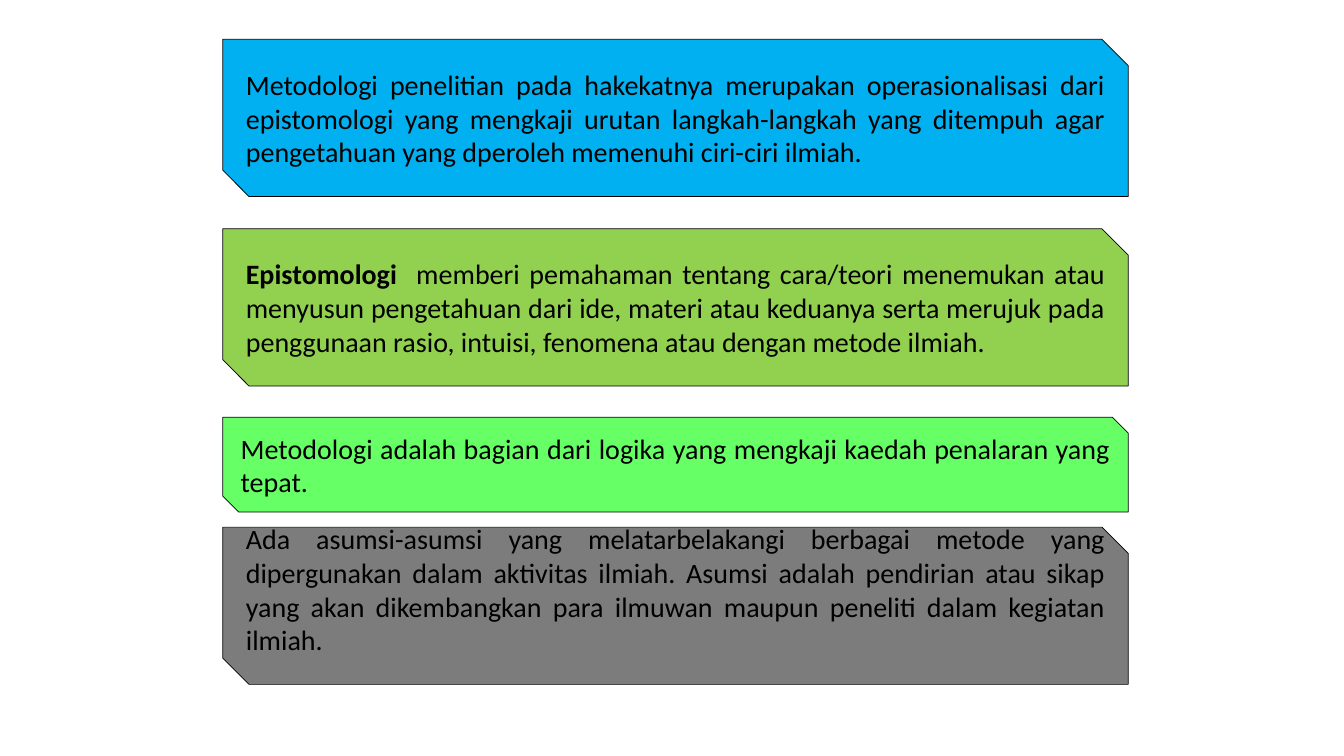
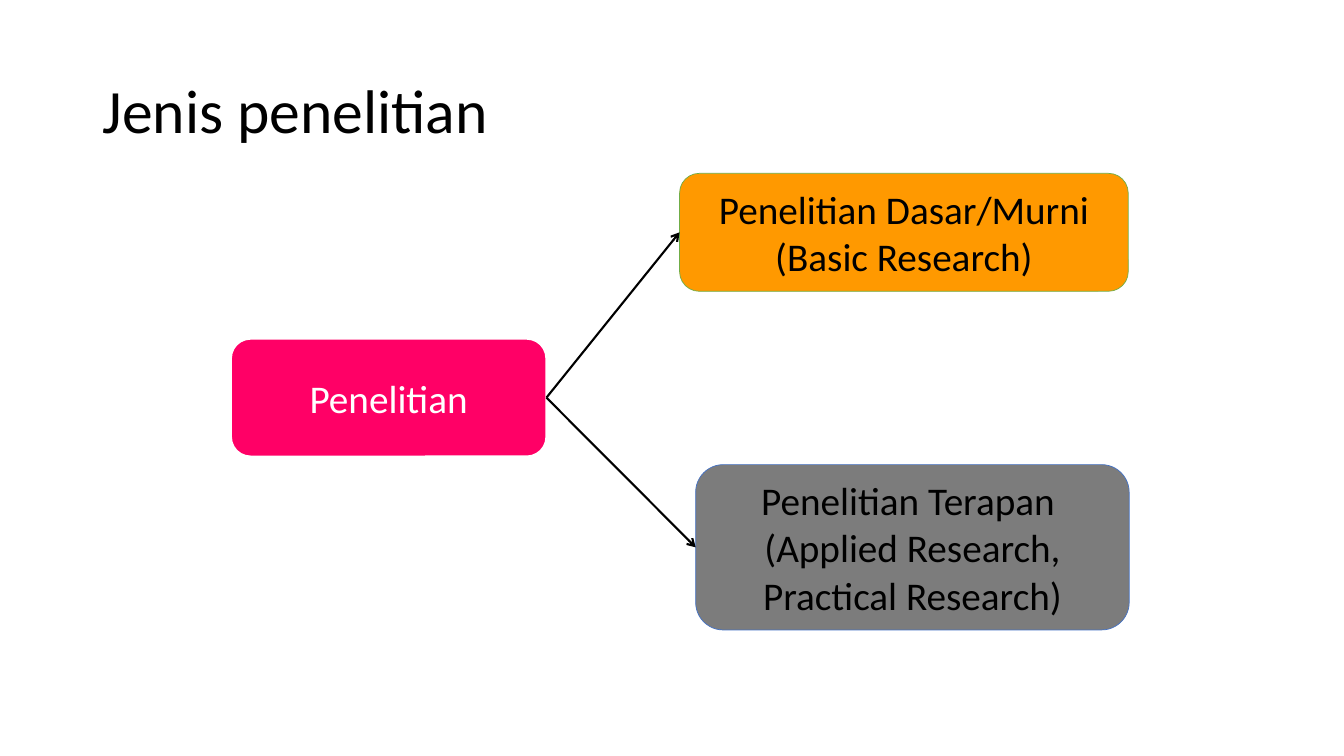
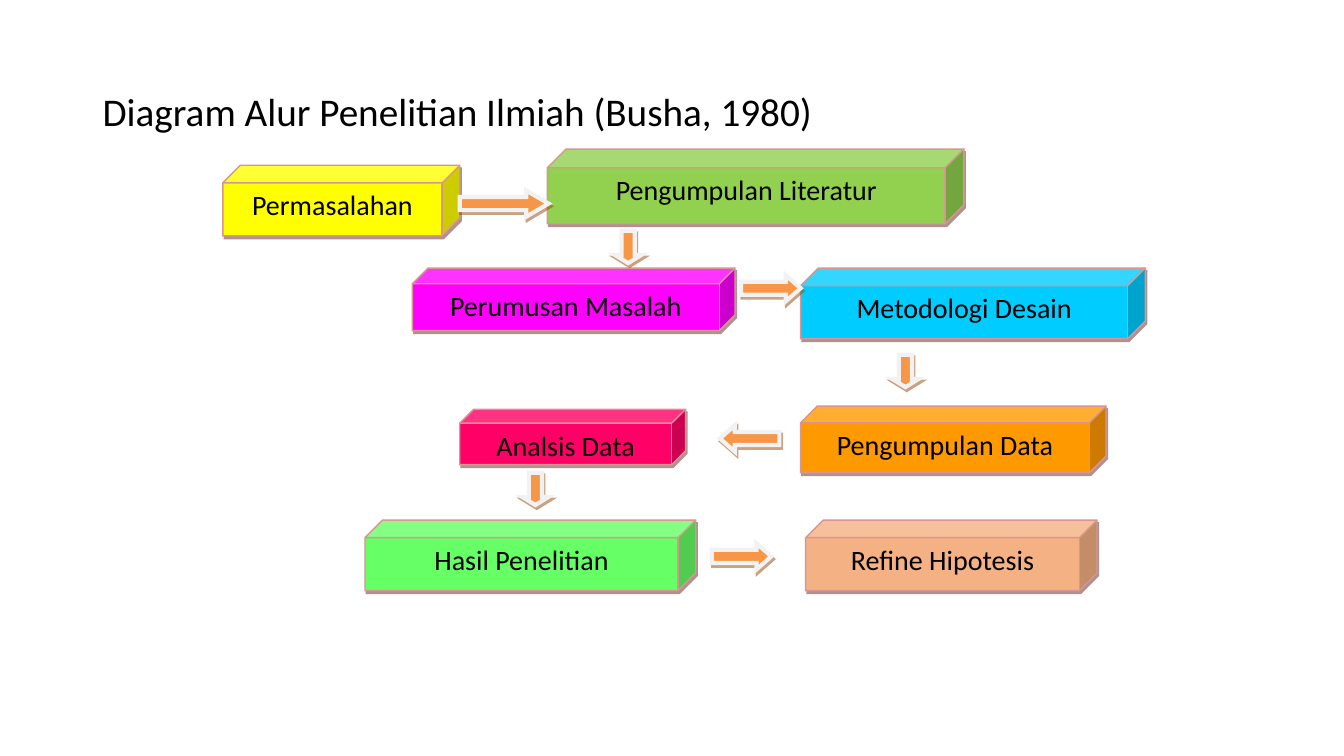
from dataclasses import dataclass

from lxml import etree
from pptx import Presentation
from pptx import util as u
from pptx.dml.color import RGBColor
from pptx.enum import shapes, text
from pptx.oxml import ns

# Shared style
FONT = "Calibri"
HEX = {
    "black": "000000", "white": "FFFFFF", "gray": "7C7C7C",
    "blue": "00B0F0", "sky": "00CCFF", "navy": "4472C4",
    "olive": "92D050", "lime": "66FF66", "leaf": "70AD47",
    "red": "FF0066", "pink": "FF00FF", "gold": "FF9900",
    "yellow": "FFFF00", "peach": "F4B183",
    "rose": "D99594", "wine": "622423",
    "orange": "F79646", "pale": "F2F2F2", "brown": "974706",
}
KIND = shapes.MSO_SHAPE
ALIGN = text.PP_ALIGN
ANCHOR = text.MSO_ANCHOR


@dataclass
class Box:
    left: float
    top: float
    width: float
    height: float
    fill: str
    words: str = ""
    lead: str = ""         # bold opening words
    ink: str = "black"
    edge: str = "black"
    thick: float = 0.5
    foot: float = 0.05     # bottom inset


@dataclass
class Arrow:
    left: float
    top: float
    width: float
    turn: int = 0


def color(name: str) -> RGBColor:
    return RGBColor.from_string(HEX[name])


def add(parent, tag: str, **attrs: str):
    node = etree.SubElement(parent, ns.qn(tag))
    for key, value in attrs.items():
        node.set(key, value)
    return node


def write(frame, words: str, size: int, ink: str = "black",
          align=ALIGN.LEFT, lead: str = "") -> None:
    frame.word_wrap = True
    frame.text = words
    if lead:
        para = frame.paragraphs[0]
        para.text = lead
        para.add_run().text = words
        para.runs[0].font.bold = True
    for para in frame.paragraphs:
        para.alignment = align
        for run in para.runs:
            run.font.name = FONT
            run.font.size = u.Pt(size)
            run.font.color.rgb = color(ink)


def title(slide, words: str, size: int) -> None:
    frame = slide.shapes.add_textbox(
        u.Inches(0.92), u.Inches(0.4), u.Inches(11.5), u.Inches(1.45)).text_frame
    write(frame, words, size)
    frame.vertical_anchor = ANCHOR.MIDDLE
    frame.paragraphs[0].line_spacing = 0.9


def draw(slide, kind, box: Box, size: int = 20, align=ALIGN.CENTER):
    shape = slide.shapes.add_shape(
        kind, u.Inches(box.left), u.Inches(box.top),
        u.Inches(box.width), u.Inches(box.height))
    shape.shadow.inherit = False
    shape.fill.solid()
    shape.fill.fore_color.rgb = color(box.fill)
    shape.line.color.rgb = color(box.edge)
    shape.line.width = u.Pt(box.thick)
    if box.words:
        frame = shape.text_frame
        write(frame, box.words, size, box.ink, align, box.lead)
        frame.vertical_anchor = ANCHOR.MIDDLE
        frame.margin_bottom = u.Inches(box.foot)
    return shape


def raise_up(shape, shade: str) -> None:
    """Give a shape sharp corners and a hard, half clear shadow."""
    add(shape.line._ln, "a:miter", lim="800000")
    cast = add(shape._element.spPr.find(ns.qn("a:effectLst")), "a:outerShdw",
               dist=str(u.Pt(2.2)), dir=str(63 * 60000),
               algn="ctr", rotWithShape="0")
    add(add(cast, "a:srgbClr", val=HEX[shade]), "a:alpha", val="50000")


def link(slide, start, end) -> None:
    """Arrow from the right side of start to the left side of end."""
    line = slide.shapes.add_connector(shapes.MSO_CONNECTOR.STRAIGHT, 0, 0, 0, 0)
    line.begin_connect(start, 3)
    line.end_connect(end, 1)
    line.line.color.rgb = color("black")
    line.line.width = u.Pt(1.5)
    add(line.line._ln, "a:tailEnd", type="arrow")
    add(line._element.spPr, "a:effectLst")


def cube(slide, box: Box) -> None:
    shape = draw(slide, KIND.CUBE, box)
    shape.adjustments[0] = 0.25
    shape.text_frame.vertical_anchor = ANCHOR.TOP
    shape.text_frame.paragraphs[0].space_after = u.Pt(10)
    raise_up(shape, "wine")


def arrow(slide, item: Arrow) -> None:
    high = 0.26
    shape = draw(slide, KIND.RIGHT_ARROW, Box(
        item.left, item.top, item.width, high, "orange", edge="pale", thick=3))
    shape.adjustments[0] = 0.5
    shape.adjustments[1] = item.width / 4 / high
    shape.rotation = item.turn
    raise_up(shape, "brown")


def method(slide) -> None:
    left, width = 2.21, 8.98
    notes = [
        Box(left, 0.39, width, 1.56, "blue",
            "Metodologi penelitian pada hakekatnya merupakan operasionalisasi "
            "dari epistomologi yang mengkaji urutan langkah-langkah yang "
            "ditempuh agar pengetahuan yang dperoleh memenuhi ciri-ciri ilmiah."),
        Box(left, 2.27, width, 1.56, "olive",
            " memberi pemahaman tentang cara/teori menemukan atau menyusun "
            "pengetahuan dari ide, materi atau keduanya serta merujuk pada "
            "penggunaan rasio, intuisi, fenomena atau dengan metode ilmiah.",
            lead="Epistomologi "),
        Box(left, 4.14, width, 0.94, "lime",
            "Metodologi adalah bagian dari logika yang mengkaji kaedah "
            "penalaran yang tepat."),
        Box(left, 5.23, width, 1.56, "gray",
            "Ada asumsi-asumsi yang melatarbelakangi berbagai metode yang "
            "dipergunakan dalam aktivitas ilmiah. Asumsi adalah pendirian atau "
            "sikap yang akan dikembangkan para ilmuwan maupun peneliti dalam "
            "kegiatan ilmiah.", foot=0.38),
    ]
    for note in notes:
        draw(slide, KIND.SNIP_2_DIAG_RECTANGLE, note, align=ALIGN.JUSTIFY)


def types(slide) -> None:
    title(slide, "Jenis penelitian", 44)
    root, *kinds = [draw(slide, KIND.ROUNDED_RECTANGLE, box, 28) for box in (
        Box(2.29, 3.36, 3.13, 1.17, "red", "Penelitian",
            ink="white", edge="white", thick=1.5),
        Box(6.74, 1.72, 4.45, 1.17, "gold",
            "Penelitian Dasar/Murni (Basic Research)", edge="leaf"),
        Box(6.9, 4.61, 4.3, 1.64, "gray",
            "Penelitian Terapan \n(Applied Research, Practical Research)",
            edge="navy"),
    )]
    for kind in kinds:
        link(slide, root, kind)


def flow(slide) -> None:
    title(slide, "Diagram Alur Penelitian Ilmiah (Busha, 1980)", 28)
    steps = [
        (2.21, 1.64, 2.35, 0.7, "yellow", "Permasalahan"),
        (5.43, 1.48, 4.13, 0.74, "olive", "Pengumpulan Literatur"),
        (4.09, 2.66, 3.2, 0.62, "pink", "Perumusan Masalah"),
        (7.94, 2.66, 3.42, 0.7, "sky", "Metodologi Desain"),
        (7.94, 4.03, 3.03, 0.66, "gold", "Pengumpulan Data"),
        (4.56, 4.06, 2.24, 0.55, "red", "Analsis Data"),
        (3.62, 5.16, 3.28, 0.7, "lime", "Hasil Penelitian"),
        (7.99, 5.16, 2.89, 0.7, "peach", "Refine Hipotesis"),
    ]
    for step in steps:
        cube(slide, Box(*step, edge="rose", thick=1))
    short, long = 0.32, 0.59
    for item in (
        Arrow(4.56, 1.89, 0.88),
        Arrow(6.07, 2.32, short, 90),
        Arrow(7.35, 2.73, long),
        Arrow(8.82, 3.55, short, 90),
        Arrow(7.14, 4.22, long, 180),
        Arrow(7.06, 5.39, long),
        Arrow(5.15, 4.72, short, 90),
    ):
        arrow(slide, item)


def main() -> None:
    deck = Presentation()
    deck.slide_width, deck.slide_height = u.Inches(13.33), u.Inches(7.5)
    for build in (method, types, flow):
        build(deck.slides.add_slide(deck.slide_layouts[6]))
    deck.save("out.pptx")


if __name__ == "__main__":
    main()
